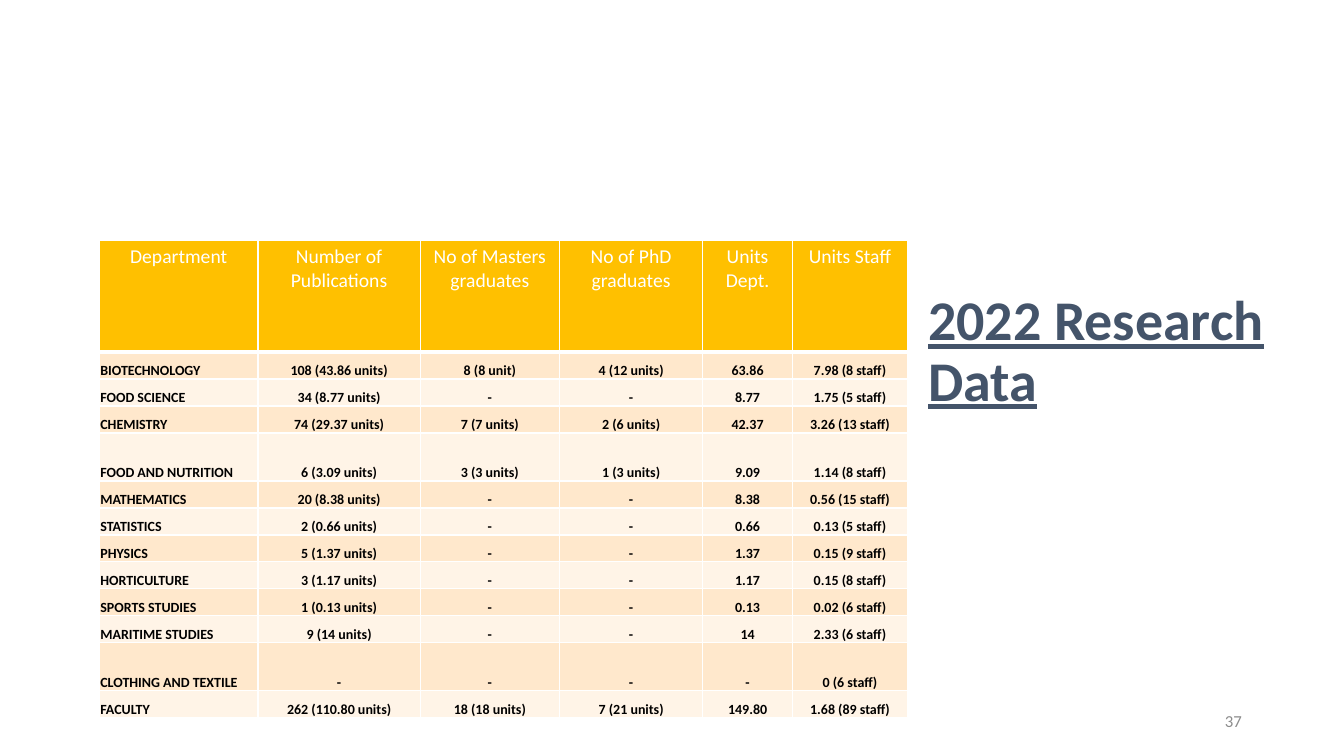
from dataclasses import dataclass

from lxml.etree import SubElement
from pptx import Presentation
from pptx.dml.color import RGBColor
from pptx.enum.text import MSO_ANCHOR as Anchor, PP_ALIGN as Align
from pptx.oxml.ns import qn
from pptx.slide import Slide
from pptx.table import _Cell as Cell
from pptx.text.text import TextFrame
from pptx.util import Cm, Pt

WHITE = RGBColor(0xFF, 0xFF, 0xFF)
BLACK = RGBColor(0x00, 0x00, 0x00)
GOLD = RGBColor(0xFF, 0xC0, 0x00)
PEACH = RGBColor(0xFF, 0xE8, 0xCC)
CREAM = RGBColor(0xFF, 0xF4, 0xE7)
SLATE = RGBColor(0x44, 0x54, 0x6A)
GREY = RGBColor(0x8C, 0x8C, 0x8C)
FONT = "Calibri"

COLUMN_WIDTHS = (3.99, 4.09, 3.51, 3.61, 2.26, 2.9)
HEADER_HEIGHT, ROW_HEIGHT, TALL_ROW_HEIGHT = 2.8, 0.68, 1.21
HEADINGS = ("Department", "Number of Publications", "No of Masters graduates",
            "No of PhD graduates", "Units Dept.", "Units Staff")


@dataclass(frozen=True)
class Department:
    name: str
    publications: str
    masters: str
    phds: str
    units: str
    units_per_staff: str
    height: float = ROW_HEIGHT

    def values(self) -> tuple[str, ...]:
        return (self.name, self.publications, self.masters, self.phds,
                self.units, self.units_per_staff)


DEPARTMENTS = (
    Department("BIOTECHNOLOGY", "108 (43.86 units)", "8 (8 unit)", "4 (12 units)", "63.86", "7.98 (8 staff)"),
    Department("FOOD SCIENCE", "34 (8.77 units)", "-", "-", "8.77", "1.75 (5 staff)"),
    Department("CHEMISTRY", "74 (29.37 units)", "7 (7 units)", "2 (6 units)", "42.37", "3.26 (13 staff)"),
    Department("FOOD AND NUTRITION", "6 (3.09 units)", "3 (3 units)", "1 (3 units)", "9.09", "1.14 (8 staff)",
               TALL_ROW_HEIGHT),
    Department("MATHEMATICS", "20 (8.38 units)", "-", "-", "8.38", "0.56 (15 staff)"),
    Department("STATISTICS", "2 (0.66 units)", "-", "-", "0.66", "0.13 (5 staff)"),
    Department("PHYSICS", "5 (1.37 units)", "-", "-", "1.37", "0.15 (9 staff)"),
    Department("HORTICULTURE", "3 (1.17 units)", "-", "-", "1.17", "0.15 (8 staff)"),
    Department("SPORTS STUDIES", "1 (0.13 units)", "-", "-", "0.13", "0.02 (6 staff)"),
    Department("MARITIME STUDIES", "9 (14 units)", "-", "-", "14", "2.33 (6 staff)"),
    Department("CLOTHING AND TEXTILE", "-", "-", "-", "-", "0 (6 staff)", TALL_ROW_HEIGHT),
    Department("FACULTY", "262 (110.80 units)", "18 (18 units)", "7 (21 units)", "149.80", "1.68 (89 staff)"),
)


def write_text(frame: TextFrame, text: str, *, size: float, color: RGBColor,
               align: Align = Align.LEFT, bold: bool = False, underline: bool = False,
               line_spacing: float = 1.0, space_after: float = 0) -> None:
    frame.word_wrap = True
    paragraph = frame.paragraphs[0]
    paragraph.alignment = align
    paragraph.line_spacing = line_spacing
    paragraph.space_after = Pt(space_after)
    run = paragraph.add_run()
    run.text = text
    font = run.font
    font.name, font.size, font.bold, font.underline = FONT, Pt(size), bold, underline
    font.color.rgb = color


def add_text_frame(slide: Slide, left: float, top: float, width: float, height: float,
                   anchor: Anchor) -> TextFrame:
    frame = slide.shapes.add_textbox(Cm(left), Cm(top), Cm(width), Cm(height)).text_frame
    frame.vertical_anchor = anchor
    return frame


def style_cell(cell: Cell, fill: RGBColor, anchor: Anchor, side_margin: float,
               top_margin: float, bottom_margin: float, bottom_line: float = 1) -> None:
    cell.vertical_anchor = anchor
    cell.margin_left = cell.margin_right = Cm(side_margin)
    cell.margin_top, cell.margin_bottom = Cm(top_margin), Cm(bottom_margin)
    properties = cell._tc.get_or_add_tcPr()
    for side, points in (("L", 1), ("R", 1), ("T", 1), ("B", bottom_line)):
        line = SubElement(properties, qn(f"a:ln{side}"), w=str(Pt(points)))
        line_fill = SubElement(line, qn("a:solidFill"))
        SubElement(line_fill, qn("a:srgbClr"), val=str(WHITE))
    cell.fill.solid()
    cell.fill.fore_color.rgb = fill


def add_research_table(slide: Slide) -> None:
    heights = (HEADER_HEIGHT, *(department.height for department in DEPARTMENTS))
    table = slide.shapes.add_table(len(heights), len(HEADINGS), Cm(2.51), Cm(6.07),
                                   Cm(sum(COLUMN_WIDTHS)), Cm(sum(heights))).table
    table.first_row = table.horz_banding = False
    for column, width in zip(table.columns, COLUMN_WIDTHS):
        column.width = Cm(width)
    for row, height in zip(table.rows, heights):
        row.height = Cm(height)

    for cell, heading in zip(table.rows[0].cells, HEADINGS):
        style_cell(cell, GOLD, Anchor.TOP, 0.2, 0.1, 0.1, bottom_line=3)
        write_text(cell.text_frame, heading, size=14, color=WHITE, align=Align.CENTER)

    for row_index, department in enumerate(DEPARTMENTS, start=1):
        fill = PEACH if row_index % 2 else CREAM
        for column_index, value in enumerate(department.values()):
            cell = table.cell(row_index, column_index)
            style_cell(cell, fill, Anchor.BOTTOM, 0.02, 0.02, 0)
            write_text(cell.text_frame, value, size=10, color=BLACK, bold=True,
                       align=Align.CENTER if column_index else Align.LEFT)


def main() -> None:
    presentation = Presentation()
    presentation.slide_width, presentation.slide_height = Cm(33.87), Cm(19.05)
    slide = presentation.slides.add_slide(presentation.slide_layouts[6])

    title = add_text_frame(slide, 23.14, 3.1, 9.45, 7.44, Anchor.BOTTOM)
    write_text(title, "2022 Research Data", size=40, color=SLATE, bold=True,
               underline=True, line_spacing=0.9)
    page_number = add_text_frame(slide, 23.93, 17.65, 7.62, 1.02, Anchor.MIDDLE)
    write_text(page_number, "37", size=12, color=GREY, align=Align.RIGHT, space_after=6)
    add_research_table(slide)

    presentation.save("out.pptx")


if __name__ == "__main__":
    main()
